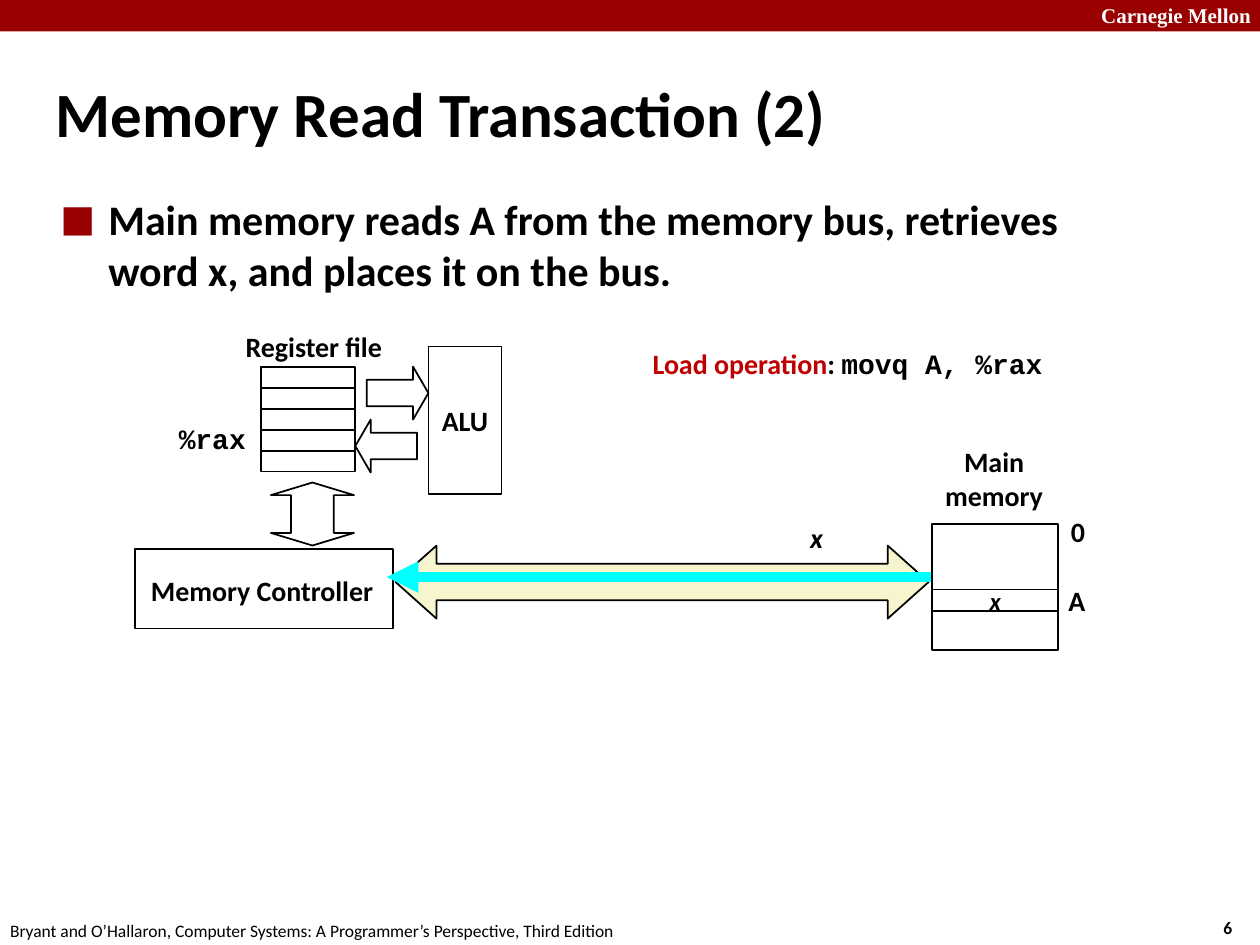
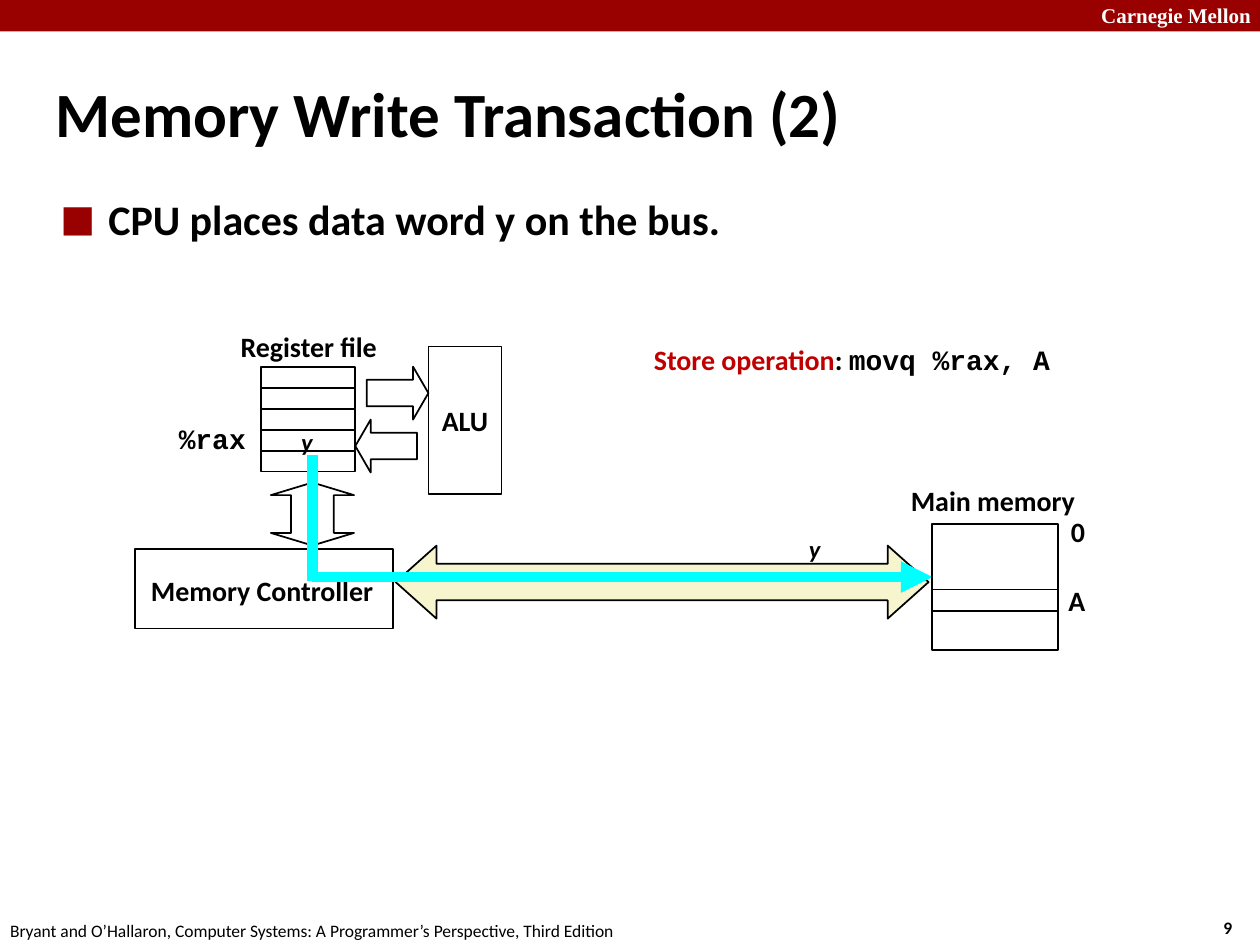
from lxml import etree
from pptx import Presentation
from pptx.dml.color import RGBColor
from pptx.enum import shapes, text
from pptx.oxml import ns
from pptx.util import Inches, Pt

RED, BLACK, CYAN, CREAM, WHITE = "990000", "000000", "00FFFF", "F7F5CD", "FFFFFF"
MONO = "Courier New"
KIND = shapes.MSO_SHAPE
LEFT, MID = text.PP_ALIGN.LEFT, text.PP_ALIGN.CENTER
hue = RGBColor.from_string


def write(words, at, size=16, font="Calibri", color=BLACK, bold=True, slant=False,
          align=LEFT, anchor=text.MSO_ANCHOR.MIDDLE, wrap=False, grow=True, mark=None):
    frame = slide.shapes.add_textbox(*map(Inches, at)).text_frame
    frame.word_wrap = wrap
    frame.auto_size = text.MSO_AUTO_SIZE.SHAPE_TO_FIT_TEXT if grow else text.MSO_AUTO_SIZE.NONE
    frame.vertical_anchor = anchor
    frame.margin_left = frame.margin_right = Inches(0.05)
    frame.margin_top = frame.margin_bottom = Inches(0.05)
    para = frame.paragraphs[0]
    para.alignment = align
    if mark:
        props = para._p.get_or_add_pPr()
        props.set("marL", str(Inches(0.38)))
        props.set("indent", str(-Inches(0.38)))
        tint = etree.SubElement(props, ns.qn("a:buClr"))
        etree.SubElement(tint, ns.qn("a:srgbClr"), val=RED)
        etree.SubElement(props, ns.qn("a:buSzPct"), val="88000")
        etree.SubElement(props, ns.qn("a:buFont"), typeface=font)
        etree.SubElement(props, ns.qn("a:buChar"), char=mark)
    parts = [(words, font, color)] if isinstance(words, str) else words
    for part, face, shade in parts:
        run = para.add_run()
        run.text = part
        run.font.name, run.font.size = face, Pt(size)
        run.font.bold, run.font.italic = bold, slant
        run.font.color.rgb = hue(shade)


def draw(kind, at, fill=None, line=BLACK, adjust=()):
    if kind:
        shape = slide.shapes.add_shape(kind, *map(Inches, at))
    else:
        spots = [(Inches(x), Inches(y)) for x, y in at]
        pen = slide.shapes.build_freeform(*spots[0])
        pen.add_line_segments(spots[1:], close=True)
        shape = pen.convert_to_shape()
    shape.shadow.inherit = False
    for spot, ratio in enumerate(adjust):
        shape.adjustments[spot] = ratio
    if fill:
        shape.fill.solid()
        shape.fill.fore_color.rgb = hue(fill)
    else:
        shape.fill.background()
    if line:
        shape.line.color.rgb = hue(line)
        shape.line.width = Pt(1)
    else:
        shape.line.fill.background()


pages = [
    dict(num="6", title="Memory Read Transaction (2)",
         point="Main memory reads A from the memory bus, retrieves word x, and places it on the bus.",
         task="Load operation", code="movq A, %rax", task_at=(5.13, 2.7, 3.22, 0.65),
         file_at=(1.9, 2.58, 1.2, 0.33), name_at=(7.22, 3.49, 1.34, 0.61), wrap=True,
         vals=[("x", (6.37, 4.1, 0.22, 0.33), 16), ("x", (7.8, 4.61, 0.2, 0.31), 14)],
         flow=[((7.4, 4.58), (3.07, 4.58), True)]),
    dict(num="9", title="Memory Write Transaction (2)",
         point="CPU places data word y on the bus.",
         task="Store operation", code="movq %rax, A", task_at=(5.14, 2.67, 3.27, 0.65),
         file_at=(1.86, 2.58, 1.2, 0.33), name_at=(7.17, 3.81, 1.42, 0.33), wrap=False,
         vals=[("y", (6.36, 4.2, 0.21, 0.31), 14), ("y", (2.33, 3.35, 0.21, 0.31), 14)],
         flow=[((2.48, 3.61), (2.48, 4.61), False), ((2.48, 4.58), (7.4, 4.58), True)]),
]

deck = Presentation()
deck.slide_width, deck.slide_height = Inches(10), Inches(7.5)

for page in pages:
    slide = deck.slides.add_slide(deck.slide_layouts[6])
    top = text.MSO_ANCHOR.TOP

    draw(KIND.RECTANGLE, (0, 0, 10, 0.25), fill=RED, line=None)
    write("Carnegie Mellon", (8.69, -0.03, 1.33, 0.3), size=12, font="Times New Roman",
          color=WHITE, anchor=top, wrap=True)
    write("Bryant and O’Hallaron, Computer Systems: A Programmer’s Perspective, Third Edition",
          (0.03, 7.25, 4.92, 0.25), size=10, bold=False, anchor=top)
    write(page["num"], (9.66, 7.23, 0.18, 0.25), size=10, anchor=top)
    write(page["title"], (0.39, 0.48, 8.3, 0.83), size=36, wrap=True, grow=False)
    write(page["point"], (0.43, 1.49, 8.64, 5.44), size=24, anchor=top, wrap=True,
          grow=False, mark="■")

    draw(KIND.LEFT_RIGHT_ARROW, (3.14, 4.33, 4.23, 0.58), fill=CREAM, adjust=(0.5, 0.56))
    for row in range(5):
        draw(KIND.RECTANGLE, (2.07, 2.91 + row / 6, 0.75, 1 / 6))
    draw(KIND.RIGHT_ARROW, (2.91, 2.91, 0.49, 0.42), adjust=(0.5, 0.29))
    draw(KIND.LEFT_ARROW, (2.82, 3.33, 0.49, 0.42), adjust=(0.5, 0.29))
    draw(KIND.RECTANGLE, (3.4, 2.75, 0.58, 1.17))
    write("ALU", (3.45, 3.17, 0.48, 0.33), align=MID)
    write("Register file", page["file_at"])
    write("%rax", (1.36, 3.3, 0.65, 0.35), font=MONO, align=MID)

    half = [(0, -0.25), (0.33, -0.15), (0.17, -0.15), (0.17, 0.15), (0.33, 0.15), (0, 0.25)]
    ring = half + [(-x, y) for x, y in half[-2:0:-1]]
    draw(None, [(2.48 + x, 4.08 + y) for x, y in ring])

    draw(KIND.RECTANGLE, (1.07, 4.36, 2.05, 0.63), fill=WHITE)
    write("Memory Controller", (1.14, 4.52, 1.88, 0.33), align=MID)

    for start, end, head in page["flow"]:
        wire = slide.shapes.add_connector(shapes.MSO_CONNECTOR.STRAIGHT,
                                          *map(Inches, start + end))
        wire.line.color.rgb = hue(CYAN)
        wire.line.width = Pt(6)
        if head:
            etree.SubElement(wire.line._get_or_add_ln(), ns.qn("a:tailEnd"), type="triangle")
        etree.SubElement(wire._element.spPr, ns.qn("a:effectLst"))

    draw(KIND.RECTANGLE, (7.4, 4.16, 1, 1))
    draw(KIND.RECTANGLE, (7.4, 4.68, 1, 0.17))
    write("0", (8.45, 4.05, 0.23, 0.33))
    write("A", (8.43, 4.6, 0.25, 0.33))
    write("Main memory", page["name_at"], align=MID, wrap=page["wrap"])
    for word, spot, size in page["vals"]:
        write(word, spot, size=size, slant=True, align=MID)
    write([(page["task"], "Calibri", "C00000"), (": ", "Calibri", BLACK),
           (page["code"], MONO, BLACK)], page["task_at"], anchor=top)

deck.save("out.pptx")
